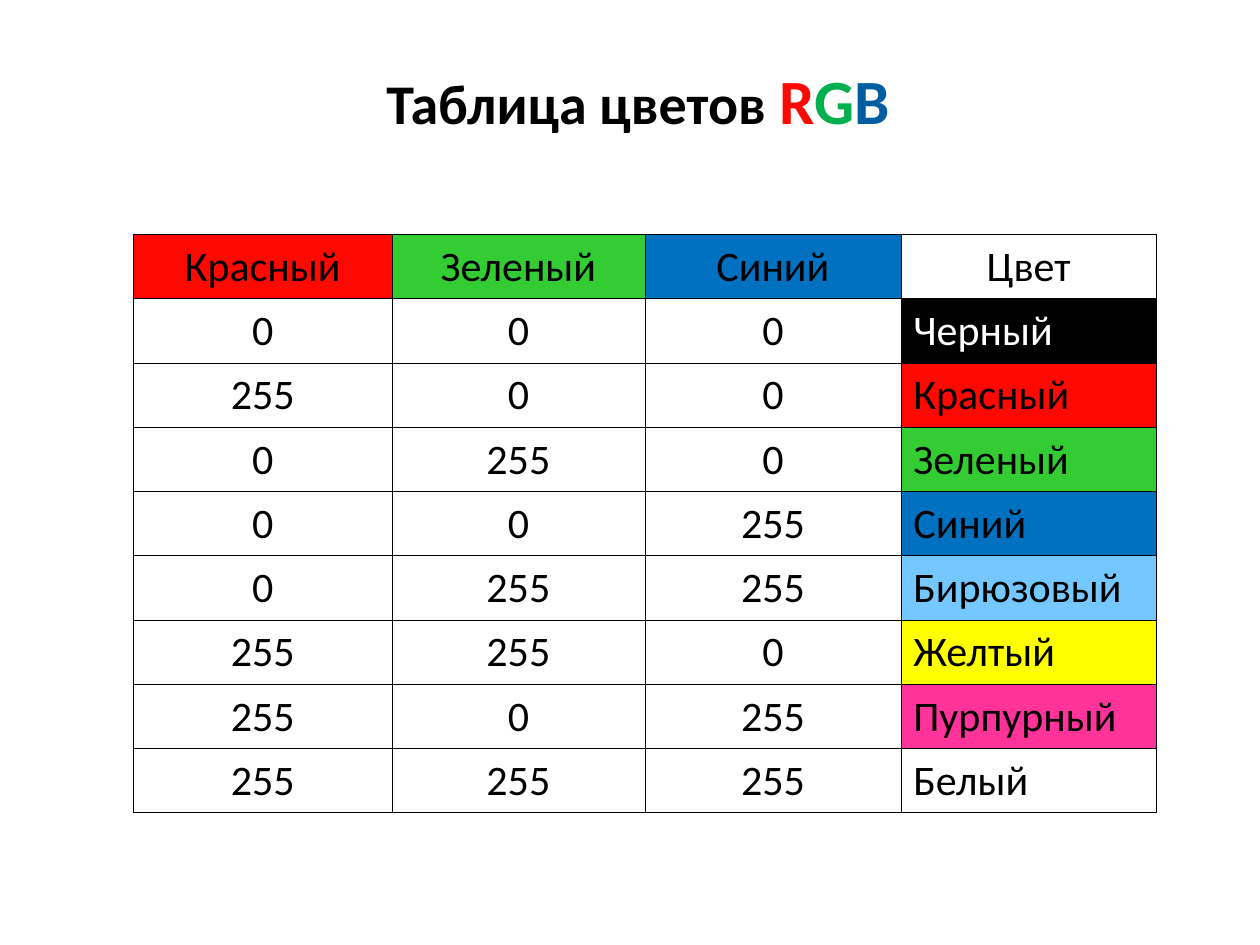
from dataclasses import dataclass

from lxml.etree import SubElement
from pptx import Presentation
from pptx.dml.color import RGBColor
from pptx.enum.text import MSO_ANCHOR, MSO_AUTO_SIZE, PP_ALIGN
from pptx.oxml.ns import qn
from pptx.util import Inches, Pt


@dataclass(frozen=True)
class Theme:
    font: str = "Calibri"
    title_size: int = 32
    letter_size: int = 36
    cell_size: int = 24
    border_width: float = 0.23
    black: str = "000000"
    white: str = "FFFFFF"
    red: str = "FE0802"
    green: str = "33CC33"
    blue: str = "0070C0"
    cyan: str = "75C7FF"
    yellow: str = "FFFF00"
    magenta: str = "FF3399"
    title_green: str = "00B050"
    title_blue: str = "005DA2"


theme = Theme()


def add_text(paragraph, text, size=theme.cell_size, color=theme.black, bold=False):
    run = paragraph.add_run()
    run.text = text
    run.font.name = theme.font
    run.font.size = Pt(size)
    run.font.bold = bold
    run.font.color.rgb = RGBColor.from_string(color)


def add_borders(cell):
    properties = cell._tc.get_or_add_tcPr()
    for side in ("a:lnL", "a:lnR", "a:lnT", "a:lnB"):
        line = SubElement(properties, qn(side), w=str(Pt(theme.border_width)))
        fill = SubElement(line, qn("a:solidFill"))
        SubElement(fill, qn("a:srgbClr"), val=theme.black)


presentation = Presentation()
presentation.slide_width = Inches(10)
presentation.slide_height = Inches(7.5)
slide = presentation.slides.add_slide(presentation.slide_layouts[5])

# Title with coloured letters
title = slide.shapes.title
title.left, title.top = Inches(2.95), Inches(0.44)
title.width, title.height = Inches(4.23), Inches(0.7)
title_frame = title.text_frame
title_frame.word_wrap = False
title_frame.auto_size = MSO_AUTO_SIZE.SHAPE_TO_FIT_TEXT
title_frame.vertical_anchor = MSO_ANCHOR.TOP
title_paragraph = title_frame.paragraphs[0]
title_paragraph.alignment = PP_ALIGN.CENTER
add_text(title_paragraph, "Таблица цветов ", size=theme.title_size, bold=True)
for letter, color in zip("RGB", (theme.red, theme.title_green, theme.title_blue)):
    add_text(title_paragraph, letter, size=theme.letter_size, color=color, bold=True)

# Colour table: the last column shows each mixture on its own fill
header = ("Красный", "Зеленый", "Синий", "Цвет")
header_fills = (theme.red, theme.green, theme.blue, None)
mixtures = [
    (0, 0, 0, "Черный", theme.black),
    (255, 0, 0, "Красный", theme.red),
    (0, 255, 0, "Зеленый", theme.green),
    (0, 0, 255, "Синий", theme.blue),
    (0, 255, 255, "Бирюзовый", theme.cyan),
    (255, 255, 0, "Желтый", theme.yellow),
    (255, 0, 255, "Пурпурный", theme.magenta),
    (255, 255, 255, "Белый", None),
]
rows = [(header, header_fills)]
rows += [(mixture[:4], (None, None, None, mixture[4])) for mixture in mixtures]
column_widths = (2.05, 2.01, 2.03, 2.03)
row_height = 0.51

table = slide.shapes.add_table(
    len(rows), len(header), Inches(1.06), Inches(1.86),
    Inches(sum(column_widths)), Inches(row_height * len(rows)),
).table
table.first_row = False
table.horz_banding = False
for column, width in zip(table.columns, column_widths):
    column.width = Inches(width)

for row_index, (texts, fills) in enumerate(rows):
    table.rows[row_index].height = Inches(row_height)
    for column_index, (text, fill) in enumerate(zip(texts, fills)):
        cell = table.cell(row_index, column_index)
        add_borders(cell)
        if fill:
            cell.fill.solid()
            cell.fill.fore_color.rgb = RGBColor.from_string(fill)
        else:
            cell.fill.background()
        is_color_name = row_index > 0 and column_index == len(header) - 1
        paragraph = cell.text_frame.paragraphs[0]
        paragraph.alignment = PP_ALIGN.LEFT if is_color_name else PP_ALIGN.CENTER
        paragraph.line_spacing = 1.02
        add_text(paragraph, str(text),
                 color=theme.white if fill == theme.black else theme.black)

presentation.save("out.pptx")
